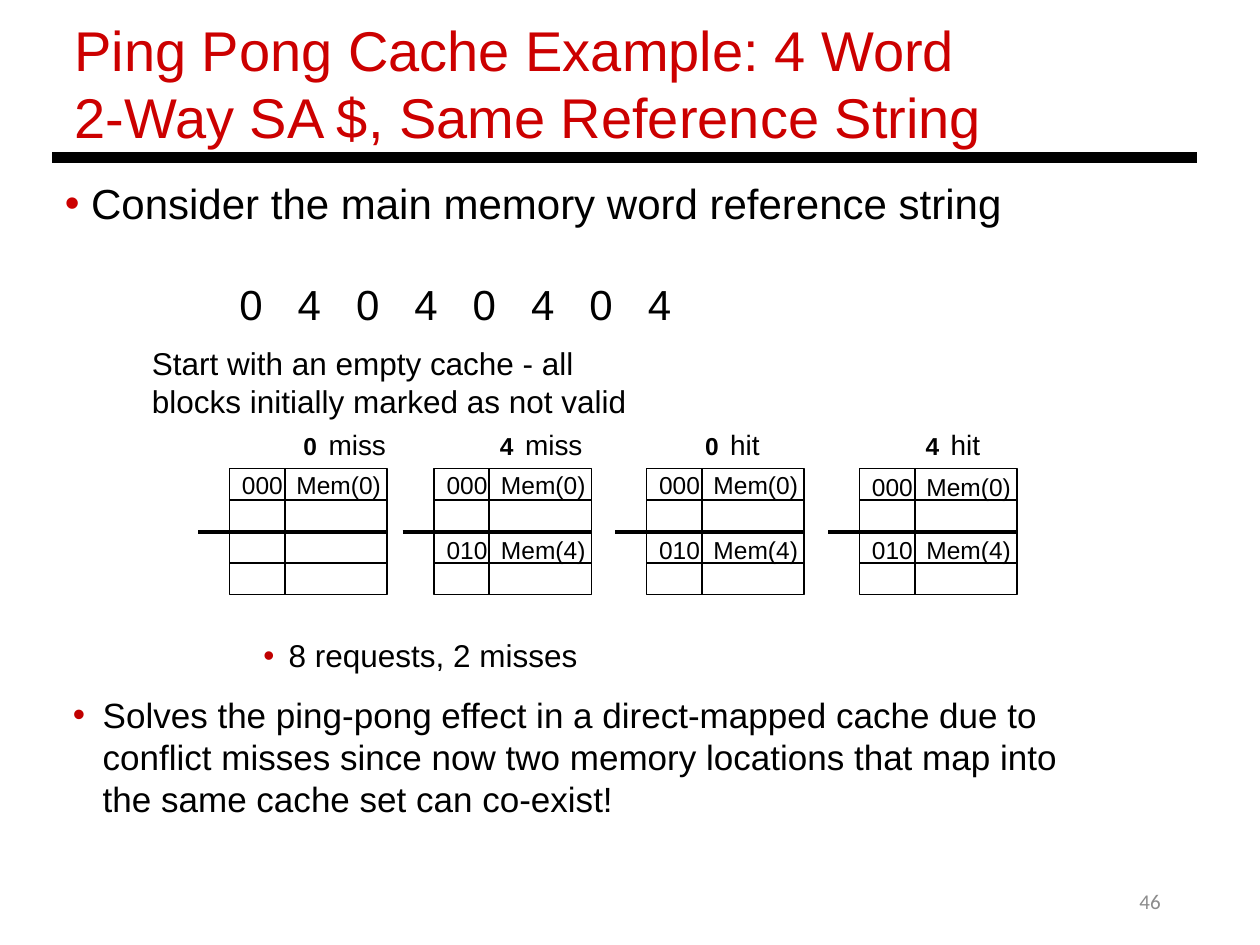
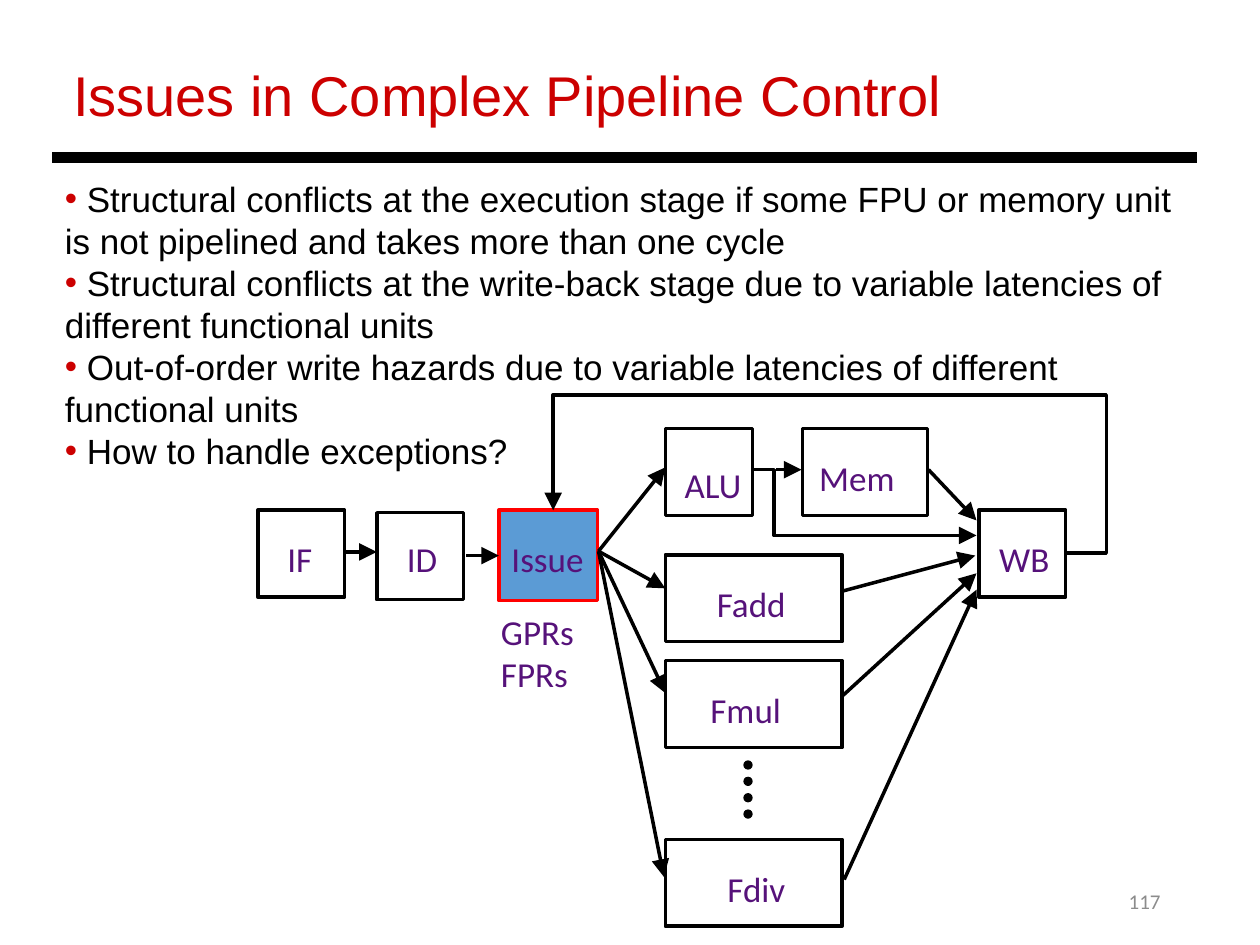
from lxml import etree
from pptx import Presentation
from pptx.dml.color import RGBColor
from pptx.enum.shapes import MSO_CONNECTOR, MSO_SHAPE
from pptx.enum.text import MSO_ANCHOR, PP_ALIGN
from pptx.oxml.ns import qn
from pptx.util import Pt

RECTANGLE, OVAL = MSO_SHAPE.RECTANGLE, MSO_SHAPE.OVAL
STRAIGHT = MSO_CONNECTOR.STRAIGHT
LEFT, CENTER, RIGHT = PP_ALIGN.LEFT, PP_ALIGN.CENTER, PP_ALIGN.RIGHT
TOP, MIDDLE = MSO_ANCHOR.TOP, MSO_ANCHOR.MIDDLE

COLORS = {
    "title": "CC0000",
    "bullet": "C00000",
    "ink": "000000",
    "number": "8C8C8C",
    "stage": "56127A",
    "issue_fill": "5B9BD5",
    "issue_line": "FF0000",
}
COLORS = {name: RGBColor.from_string(value) for name, value in COLORS.items()}


def add_text(slide, box, lines, size, color="ink", font="Arial", align=LEFT, anchor=TOP,
             bold=False, margins=(7.2, 3.6), bullet=None, indent=(0, 0), tabs=()):
    """Add a text box, one paragraph per line; bullet is a colour name, indent is (margin, first line)."""
    frame = slide.shapes.add_textbox(*(Pt(length) for length in box)).text_frame
    frame.word_wrap = True
    frame.vertical_anchor = anchor
    frame.margin_left = frame.margin_right = Pt(margins[0])
    frame.margin_top = frame.margin_bottom = Pt(margins[1])
    for index, line in enumerate(lines):
        paragraph = frame.add_paragraph() if index else frame.paragraphs[0]
        paragraph.alignment = align
        properties = paragraph._p.get_or_add_pPr()
        if bullet:
            properties.set("marL", str(Pt(indent[0])))
            properties.set("indent", str(Pt(indent[1])))
            bullet_color = etree.SubElement(properties, qn("a:buClr"))
            etree.SubElement(bullet_color, qn("a:srgbClr"), val=str(COLORS[bullet]))
            etree.SubElement(properties, qn("a:buFont"), typeface="Arial")
            etree.SubElement(properties, qn("a:buChar"), char="•")
        if tabs:
            tab_list = etree.SubElement(properties, qn("a:tabLst"))
            for position in tabs:
                etree.SubElement(tab_list, qn("a:tab"), pos=str(Pt(position)), algn="l")
        run = paragraph.add_run()
        run.text = line
        run.font.name = font
        run.font.size = Pt(size)
        run.font.bold = bold
        run.font.color.rgb = COLORS[color]


def draw_path(slide, points, width, arrow=False):
    """Draw a connector through two points, or an open outline through more."""
    corners = [(Pt(x), Pt(y)) for x, y in points]
    if len(corners) == 2:
        shape = slide.shapes.add_connector(STRAIGHT, *corners[0], *corners[1])
    else:
        builder = slide.shapes.build_freeform(*corners[0])
        builder.add_line_segments(corners[1:], close=False)
        shape = builder.convert_to_shape()
        shape.fill.background()
    shape.line.color.rgb = COLORS["ink"]
    shape.line.width = Pt(width)
    if arrow:
        etree.SubElement(shape.line._get_or_add_ln(), qn("a:tailEnd"),
                         type="triangle", w="lg", len="lg")
    etree.SubElement(shape._element.spPr, qn("a:effectLst"))


presentation = Presentation()
presentation.slide_width = Pt(720)
presentation.slide_height = Pt(540)

# Title, rule and number shared by both slides
slides = []
for title, title_left, title_top, number in [
    ("Ping Pong Cache Example: 4 Word 2-Way SA $, Same Reference String", 35.5, 5.2, "46"),
    ("Issues in Complex Pipeline Control", 34.7, 31, "117"),
]:
    slide = presentation.slides.add_slide(presentation.slide_layouts[6])
    add_text(slide, (508.3, 500.4, 162, 28.8), [number], 12, "number", "Calibri", RIGHT, MIDDLE)
    add_text(slide, (title_left, title_top, 554.4, 85), [title], 32, "title")
    draw_path(slide, [(30, 90), (684, 90)], 6)
    slides.append(slide)
cache_slide, pipeline_slide = slides

# Cache slide: reference string
add_text(cache_slide, (30, 97.9, 651, 36), [" Consider the main memory word reference string"],
         24, bullet="title")
add_text(cache_slide, (30, 155.5, 651, 36), ["\t0\t4\t0\t4\t0\t4\t0\t4"], 24,
         tabs=[99.7 + 33.35 * index for index in range(8)])
add_text(cache_slide, (79.7, 193, 309, 51),
         ["Start with an empty cache - all blocks initially marked as not valid"], 18)

# Cache slide: one two-set cache per access, as tag and data columns
CACHE_TOP, ROW_HEIGHT = 267.8, 18
TAG_WIDTH, DATA_WIDTH = 31.5, 58.5
SET_DIVIDER = CACHE_TOP + 2 * ROW_HEIGHT
FIRST, SECOND = "000\tMem(0)", "010\tMem(4)"
accesses = [
    (131.2, 166.3, "0", "miss", [(FIRST, 265)]),
    (248.1, 278.6, "4", "miss", [(FIRST, 265), (SECOND, 302)]),
    (369.5, 395.8, "0", "hit", [(FIRST, 265), (SECOND, 302)]),
    (491.2, 521.8, "4", "hit", [(FIRST, 266), (SECOND, 302)]),
]
for cache_left, word_left, word, outcome, blocks in accesses:
    add_text(cache_slide, (word_left, 243, 24, 24.5), [word], 14, bold=True)
    add_text(cache_slide, (word_left + 14.4, 240.8, 56, 26.6), [outcome], 16)
    for left, width in [(cache_left, TAG_WIDTH), (cache_left + TAG_WIDTH, DATA_WIDTH)]:
        column = cache_slide.shapes.add_shape(RECTANGLE, Pt(left), Pt(CACHE_TOP),
                                              Pt(width), Pt(4 * ROW_HEIGHT))
        column.shadow.inherit = False
        column.fill.background()
        column.line.color.rgb = COLORS["ink"]
        column.line.width = Pt(1)
        for row in (1, 2, 3):
            row_top = CACHE_TOP + row * ROW_HEIGHT
            draw_path(cache_slide, [(left, row_top), (left + width, row_top)], 1)
    for block, block_top in blocks:
        add_text(cache_slide, (cache_left, block_top, 94.3, 24.5), [block], 14, tabs=[31.1])
    draw_path(cache_slide, [(cache_left - 18, SET_DIVIDER), (cache_left + 90, SET_DIVIDER)], 2.25)

# Cache slide: conclusions
add_text(cache_slide, (117.4, 362.3, 481.7, 25), ["8 requests, 2 misses"], 18,
         margins=(3.6, 1.4), bullet="bullet", indent=(43.9, -14.4))
add_text(cache_slide, (38, 394.9, 579, 75.6),
         ["Solves the ping-pong effect in a direct-mapped cache due to conflict misses since now "
          "two memory locations that map into the same cache set can co-exist!"],
         20, margins=(3.6, 1.4), bullet="bullet", indent=(17.1, -17.1))

# Pipeline slide: issues
add_text(pipeline_slide, (30, 97.9, 651, 177), [
    " Structural conflicts at the execution stage if some FPU or memory unit is not pipelined "
    "and takes more than one cycle",
    " Structural conflicts at the write-back stage due to variable latencies of different "
    "functional units",
    " Out-of-order write hazards due to variable latencies of different functional units",
    " How to handle exceptions?",
], 20, bullet="title")

# Pipeline slide: stages as box left, top, width, height, then label left, top, width
stages = [
    ("IF", (147.3, 291.5, 49.7, 49.7), (147.3, 303.8, 48.2)),
    ("ID", (215.3, 293, 49.7, 49.7), (221, 303.8, 40.3)),
    ("Issue", (285.1, 291.5, 56.4, 51.8), (279.4, 303.8, 67)),
    ("WB", (559.3, 291.5, 49.7, 49.7), (561.3, 303.8, 48.2)),
    ("ALU", (380.2, 244.8, 49.7, 49.7), (381.5, 261.2, 51.8)),
    ("Mem", (458.6, 244.8, 71.5, 49.7), (459.4, 257.2, 60.5)),
    ("Fadd", (380.2, 317, 101, 49.7), (387.2, 329.3, 84.2)),
    ("Fmul", (380.2, 377.4, 101, 49.7), (387.2, 389.8, 77.8)),
    ("Fdiv", (380.2, 479.6, 101, 49.7), (393.3, 492, 77.8)),
]
for name, box, label in stages:
    shape = pipeline_slide.shapes.add_shape(RECTANGLE, *(Pt(length) for length in box))
    shape.shadow.inherit = False
    shape.line.width = Pt(2)
    if name == "Issue":
        shape.fill.solid()
        shape.fill.fore_color.rgb = COLORS["issue_fill"]
        shape.line.color.rgb = COLORS["issue_line"]
    else:
        shape.fill.background()
        shape.line.color.rgb = COLORS["ink"]
    add_text(pipeline_slide, (*label, 31), [name], 20, "stage", "Calibri", CENTER)
add_text(pipeline_slide, (279.2, 345.6, 69, 55.4), ["GPRs", "FPRs"], 20, "stage", "Calibri")

# Pipeline slide: further units between Fmul and Fdiv
for index in range(4):
    dot = pipeline_slide.shapes.add_shape(OVAL, Pt(425.3), Pt(435 + 9.36 * index), Pt(4.3), Pt(4.3))
    dot.shadow.inherit = False
    dot.fill.solid()
    dot.fill.fore_color.rgb = COLORS["ink"]
    dot.line.color.rgb = COLORS["ink"]
    dot.line.width = Pt(1)

# Pipeline slide: flow between stages
issue_exit = (342, 315)
flows = [[issue_exit, end] for end in [(380.2, 267.1), (380.2, 336.2), (380.2, 396), (379.4, 501.1)]]
flows += [
    [(197.3, 315.4), (215.3, 315.4)],
    [(266.4, 317.5), (285.1, 317.5)],
    [(443.5, 268.4), (458, 268.4)],
    [(530.6, 268.4), (558, 297.4)],
    [(481.7, 337.7), (557.3, 317.5)],
    [(481.7, 397.4), (558, 327.6)],
    [(482.4, 502.6), (558, 337)],
    [(430.6, 268.4), (442.3, 268.4), (442.3, 306), (558, 306)],
    [(609.8, 316.1), (632.2, 316.1), (632.2, 225.6), (316.1, 225.6), (316.1, 291.6)],
]
for points in flows:
    draw_path(pipeline_slide, points, 2, arrow=True)

presentation.save("out.pptx")
